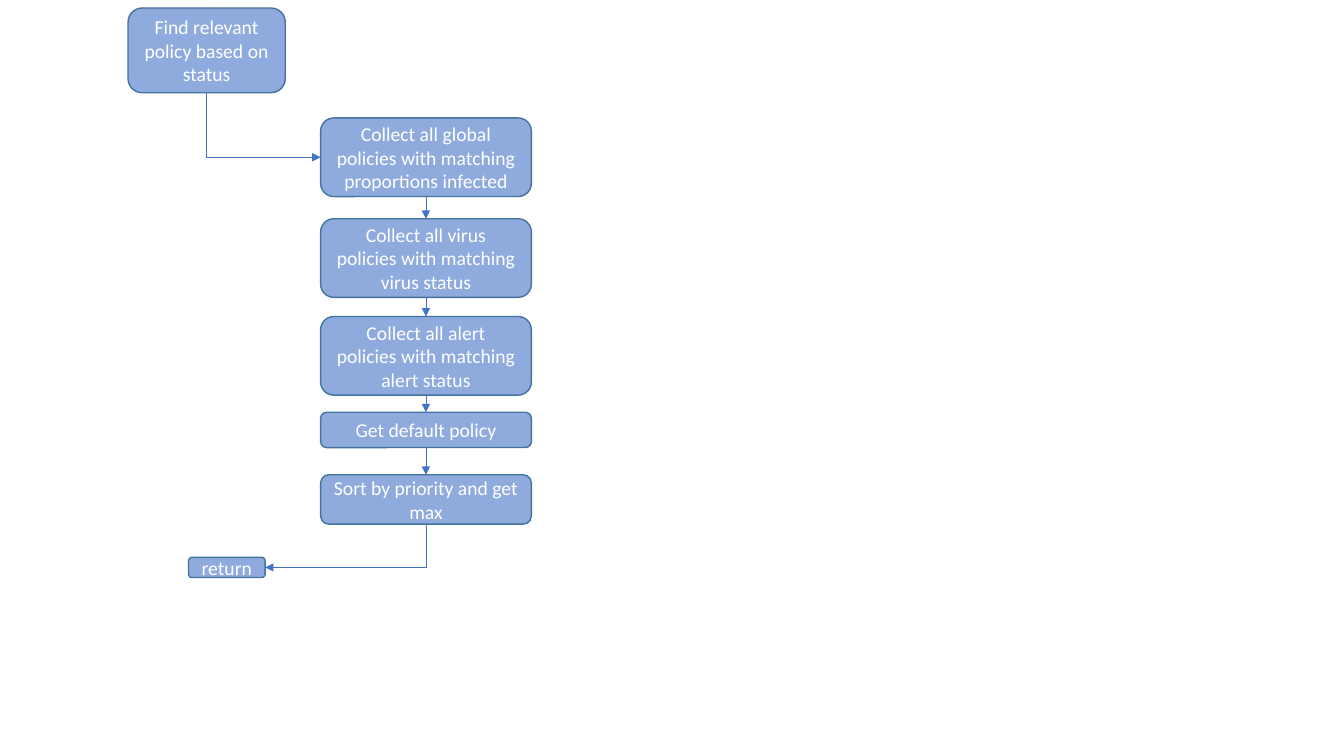
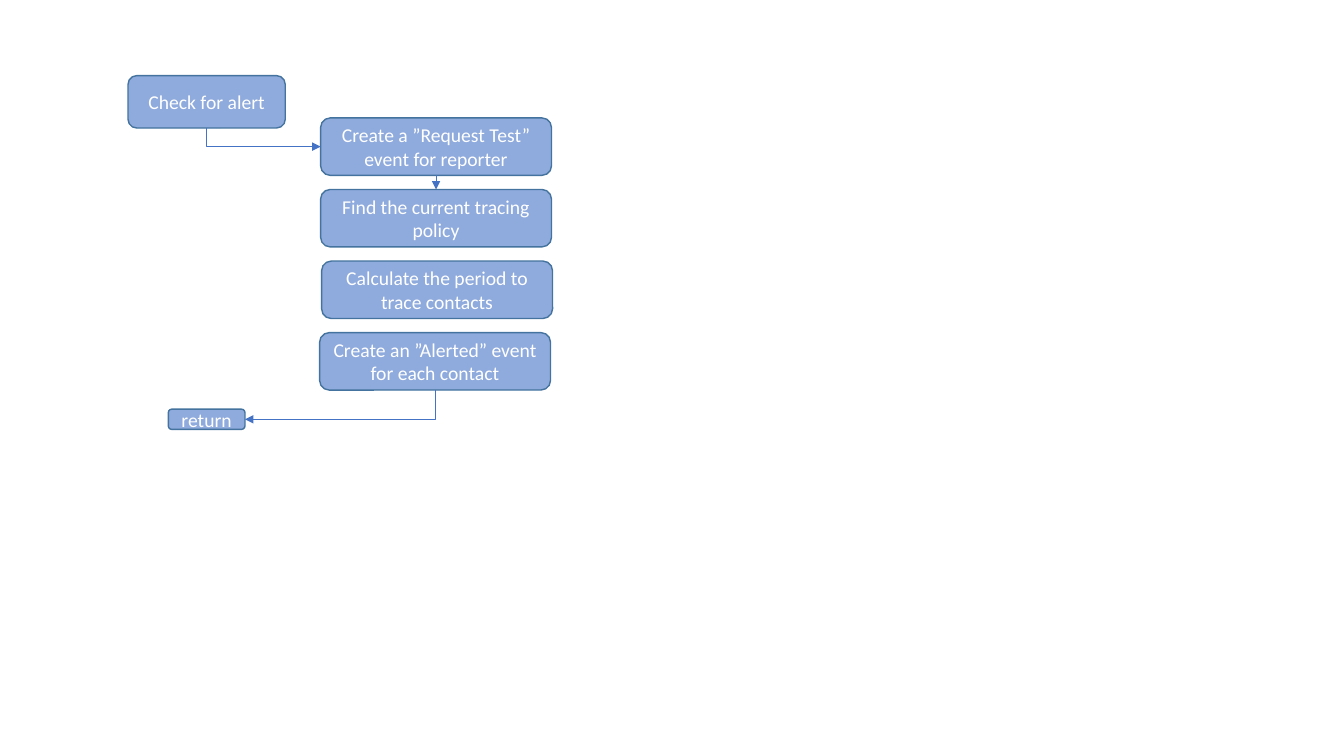
from lxml import etree
from pptx import Presentation
from pptx import util as u
from pptx.dml import color
from pptx.enum import shapes, text
from pptx.oxml import ns

FILL, OUTLINE, ARROW, INK = "8FAADC", "43739E", "4472C4", "FFFFFF"
FONT = {"name": "Calibri", "size": u.Pt(14)}
FRAME = {"word_wrap": True, "vertical_anchor": text.MSO_ANCHOR.MIDDLE}
BOTTOM, LEFT, RIGHT, TOP = 2, 1, 3, 0
START_WIDTH = 1.56
COLUMN_LEFT = 1.91
RETURN_SIZE = (0.76, 0.2)


def apply_format(target, values):
    for name, value in values.items():
        setattr(target, name, value)


def paint(fill, hex_color):
    fill.solid()
    fill.fore_color.rgb = color.RGBColor.from_string(hex_color)


def add_step(page, label, left, top, width, height):
    box = page.shapes.add_shape(
        shapes.MSO_SHAPE.ROUNDED_RECTANGLE,
        *(u.Inches(length) for length in (left, top, width, height)))
    box.shadow.inherit = False
    paint(box.fill, FILL)
    paint(box.line.fill, OUTLINE)
    box.line.width = u.Pt(1)
    apply_format(box.text_frame, FRAME)
    para = box.text_frame.paragraphs[0]
    para.alignment = text.PP_ALIGN.CENTER
    span = para.add_run()
    span.text = label
    apply_format(span.font, FONT)
    paint(span.font.fill, INK)
    return box


def add_arrow(page, kind, source, target, target_side):
    arrow = page.shapes.add_connector(kind, 0, 0, 0, 0)
    arrow.begin_connect(source, BOTTOM)
    arrow.end_connect(target, target_side)
    paint(arrow.line.fill, ARROW)
    arrow.line.width = u.Pt(0.5)
    properties = arrow.element.spPr
    line = properties.find(ns.qn("a:ln"))
    etree.SubElement(line, ns.qn("a:tailEnd"), type="triangle")
    etree.SubElement(properties, ns.qn("a:effectLst"))
    return arrow


def add_corner_arrow(page, source, target, target_side):
    arrow = add_arrow(page, shapes.MSO_CONNECTOR.ELBOW, source, target, target_side)
    start_x, start_y, end_x, end_y = arrow.begin_x, arrow.begin_y, arrow.end_x, arrow.end_y
    across, down = abs(end_x - start_x), end_y - start_y
    apply_format(arrow, {
        "left": (start_x + end_x - down) // 2,
        "top": (start_y + end_y - across) // 2,
        "width": down,
        "height": across,
    })
    rightward = end_x > start_x
    properties = arrow.element.spPr
    properties.xfrm.set("rot", str((270 if rightward else 90) * 60000))
    properties.xfrm.set("flipH", "1" if rightward else "0")
    properties.find(ns.qn("a:prstGeom")).set("prst", "bentConnector2")


def draw_flow(page, origin, start, column_width, steps, linked_steps, return_offset):
    left, top = origin
    label, height = start
    start_box = add_step(page, label, left, top, START_WIDTH, height)
    boxes = [
        add_step(page, label, left + COLUMN_LEFT + shift, top + offset, column_width, height)
        for label, shift, offset, height in steps]
    return_left, return_top = return_offset
    return_box = add_step(page, "return", left + return_left, top + return_top, *RETURN_SIZE)
    add_corner_arrow(page, start_box, boxes[0], LEFT)
    for source, target in list(zip(boxes, boxes[1:]))[:linked_steps]:
        add_arrow(page, shapes.MSO_CONNECTOR.STRAIGHT, source, target, TOP)
    add_corner_arrow(page, boxes[-1], return_box, RIGHT)


def policy_slide(page):
    steps = [
        ("Collect all global policies with matching proportions infected", 0, 1.09, 0.78),
        ("Collect all virus policies with matching virus status", 0, 2.09, 0.78),
        ("Collect all alert policies with matching alert status", 0, 3.06, 0.78),
        ("Get default policy", 0, 4.01, 0.35),
        ("Sort by priority and get max", 0, 4.63, 0.49),
    ]
    draw_flow(page, (1.27, 0.08), ("Find relevant policy based on status", 0.84),
              2.09, steps, len(steps) - 1, (0.6, 5.45))


def alert_slide(page):
    labels = [
        ("Create a ”Request Test” event for reporter", 0),
        ("Find the current tracing policy", 0),
        ("Calculate the period to trace contacts", 0.01),
        ("Create an ”Alerted” event for each contact", -0.01),
    ]
    steps = [(label, shift, 0.42 + 0.71 * row, 0.57)
             for row, (label, shift) in enumerate(labels)]
    draw_flow(page, (1.27, 0.75), ("Check for alert", 0.52),
              2.29, steps, 1, (0.4, 3.31))


def main():
    deck = Presentation()
    apply_format(deck, {"slide_width": u.Inches(13.33), "slide_height": u.Inches(7.5)})
    for build in (policy_slide, alert_slide):
        build(deck.slides.add_slide(deck.slide_layouts[6]))
    deck.save("out.pptx")


if __name__ == "__main__":
    main()
